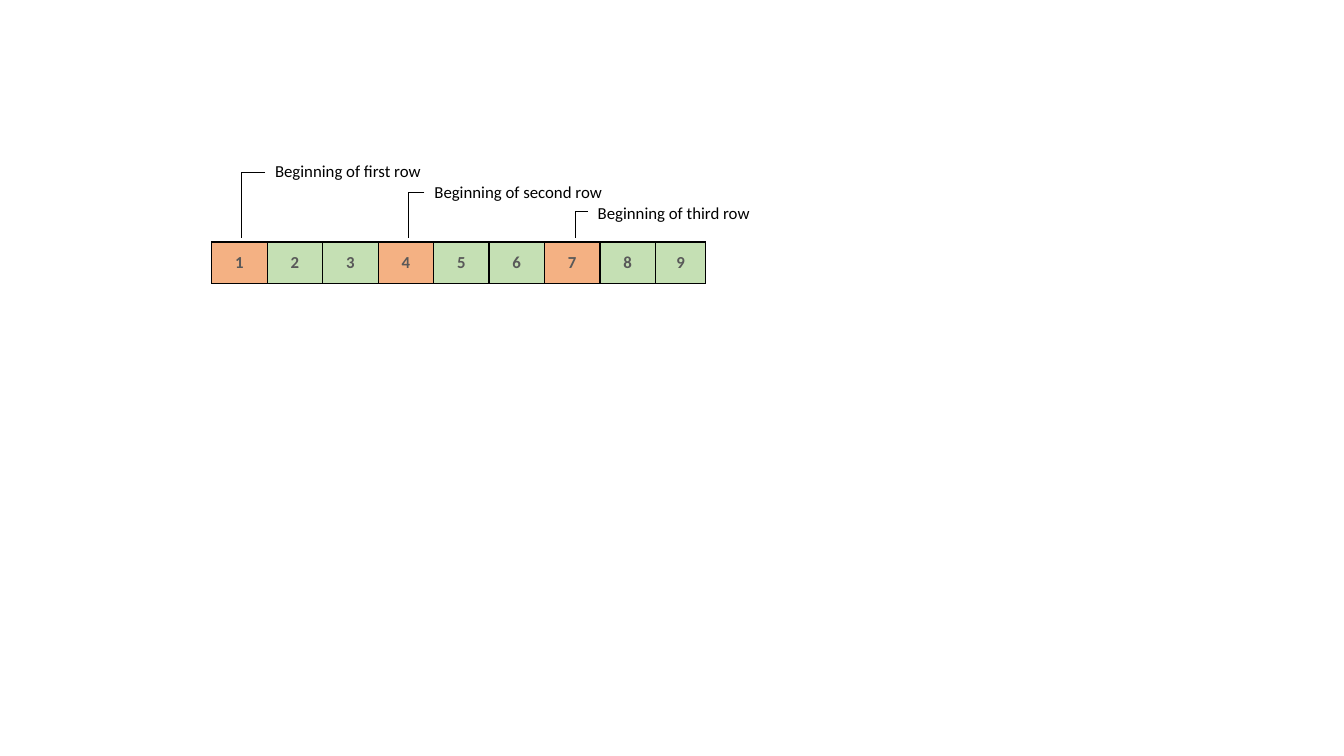
import pptx
import pptx.util
import pptx.dml.color
import pptx.enum.shapes
import pptx.enum.text
import pptx.oxml.ns
import lxml.etree
from dataclasses import dataclass


@dataclass
class Theme:
    font: str = "Calibri"
    size: int = 12
    ink: str = "000000"
    digit: str = "595959"
    first: str = "F4B183"
    rest: str = "C5E0B4"
    border: float = 1
    line: float = 0.5


def px(n):
    return pptx.util.Emu(n * 9144)


def rgb(code):
    return pptx.dml.color.RGBColor.from_string(code)


def sub(node, tag, **attrs):
    return lxml.etree.SubElement(node, pptx.oxml.ns.qn(tag), **attrs)


class Board:
    def __init__(self, theme, slide):
        self.theme = theme
        self.slide = slide

    def run(self, para, text, color, bold=False):
        run = para.add_run()
        run.text = text
        run.font.name = self.theme.font
        run.font.size = pptx.util.Pt(self.theme.size)
        run.font.bold = bold
        run.font.color.rgb = rgb(color)

    def label(self, left, top, width, height, text):
        box = self.slide.shapes.add_textbox(px(left), px(top), px(width), px(height))
        frame = box.text_frame
        frame.word_wrap = False
        frame.auto_size = pptx.enum.text.MSO_AUTO_SIZE.SHAPE_TO_FIT_TEXT
        self.run(frame.paragraphs[0], text, self.theme.ink)

    def elbow(self, left, top, right, bottom):
        kind = pptx.enum.shapes.MSO_CONNECTOR.ELBOW
        link = self.slide.shapes.add_connector(kind, px(left), px(bottom), px(right), px(top))
        link.line.color.rgb = rgb(self.theme.ink)
        link.line.width = pptx.util.Pt(self.theme.line)
        props = link._element.spPr
        props.find(pptx.oxml.ns.qn("a:xfrm")).set("rot", "10800000")
        props.find(pptx.oxml.ns.qn("a:prstGeom")).set("prst", "bentConnector2")
        sub(props, "a:effectLst")

    def edge(self, cell):
        props = cell._tc.get_or_add_tcPr()
        width = str(int(pptx.util.Pt(self.theme.border)))
        for side in "LRTB":
            line = sub(props, f"a:ln{side}", w=width)
            sub(sub(line, "a:solidFill"), "a:srgbClr", val=self.theme.ink)

    def cells(self, left, top, height, widths, stride):
        frame = self.slide.shapes.add_table(
            1, len(widths), px(left), px(top), px(sum(widths)), px(height))
        table = frame.table
        table.first_row = False
        table.horz_banding = False
        for i, width in enumerate(widths):
            table.columns[i].width = px(width)
            cell = table.cell(0, i)
            self.edge(cell)
            cell.fill.solid()
            color = self.theme.rest if i % stride else self.theme.first
            cell.fill.fore_color.rgb = rgb(color)
            cell.vertical_anchor = pptx.enum.text.MSO_ANCHOR.MIDDLE
            para = cell.text_frame.paragraphs[0]
            para.alignment = pptx.enum.text.PP_ALIGN.CENTER
            self.run(para, str(i + 1), self.theme.digit, True)


def main():
    deck = pptx.Presentation()
    deck.slide_width = px(1333)
    deck.slide_height = px(750)
    board = Board(Theme(), deck.slides.add_slide(deck.slide_layouts[6]))

    board.cells(210, 240, 41, [55] * 8 + [50], 3)

    notes = [
        ("first", 263, 155, 166, 171),
        ("second", 421, 175, 188, 191),
        ("third", 583, 196, 172, 210),
    ]
    for i, (name, left, top, width, bend) in enumerate(notes):
        board.label(left, top, width, 30, f"Beginning of {name} row")
        board.elbow(239 + 166 * i, bend, left, 236)

    deck.save("out.pptx")


if __name__ == "__main__":
    main()
